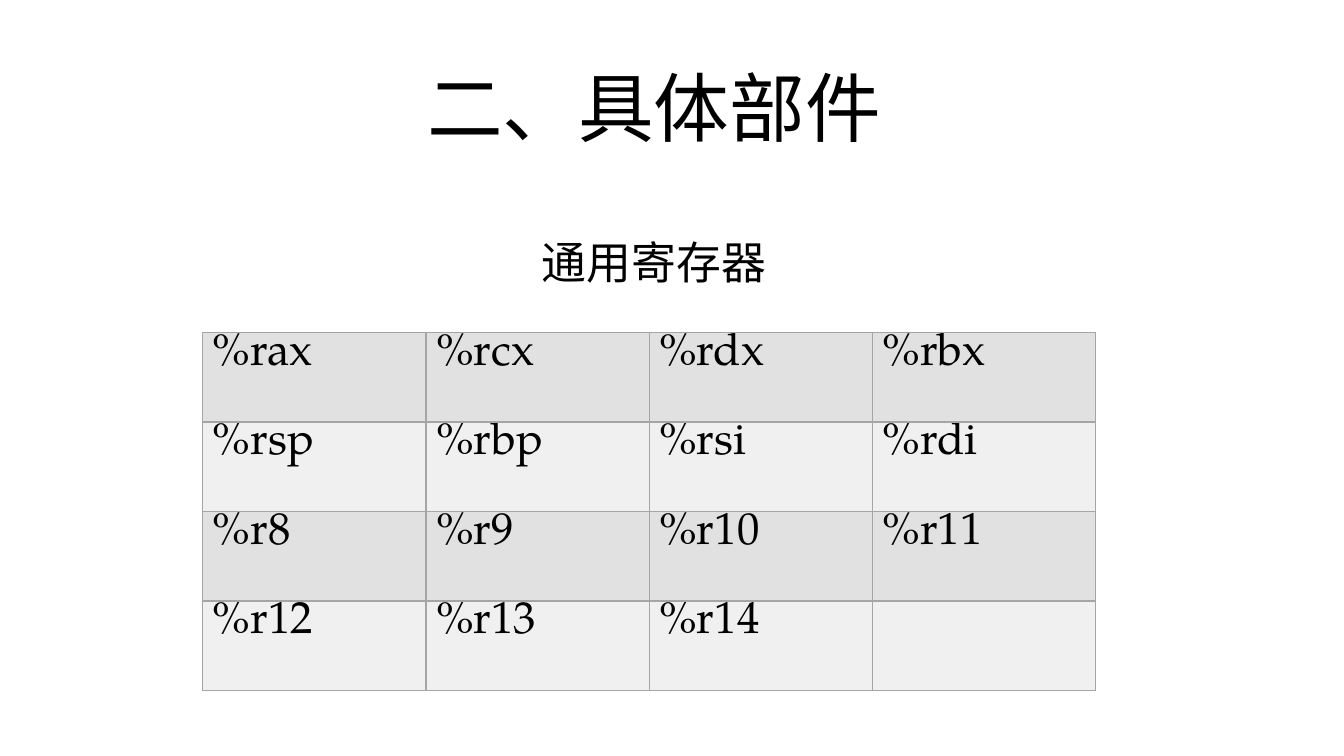
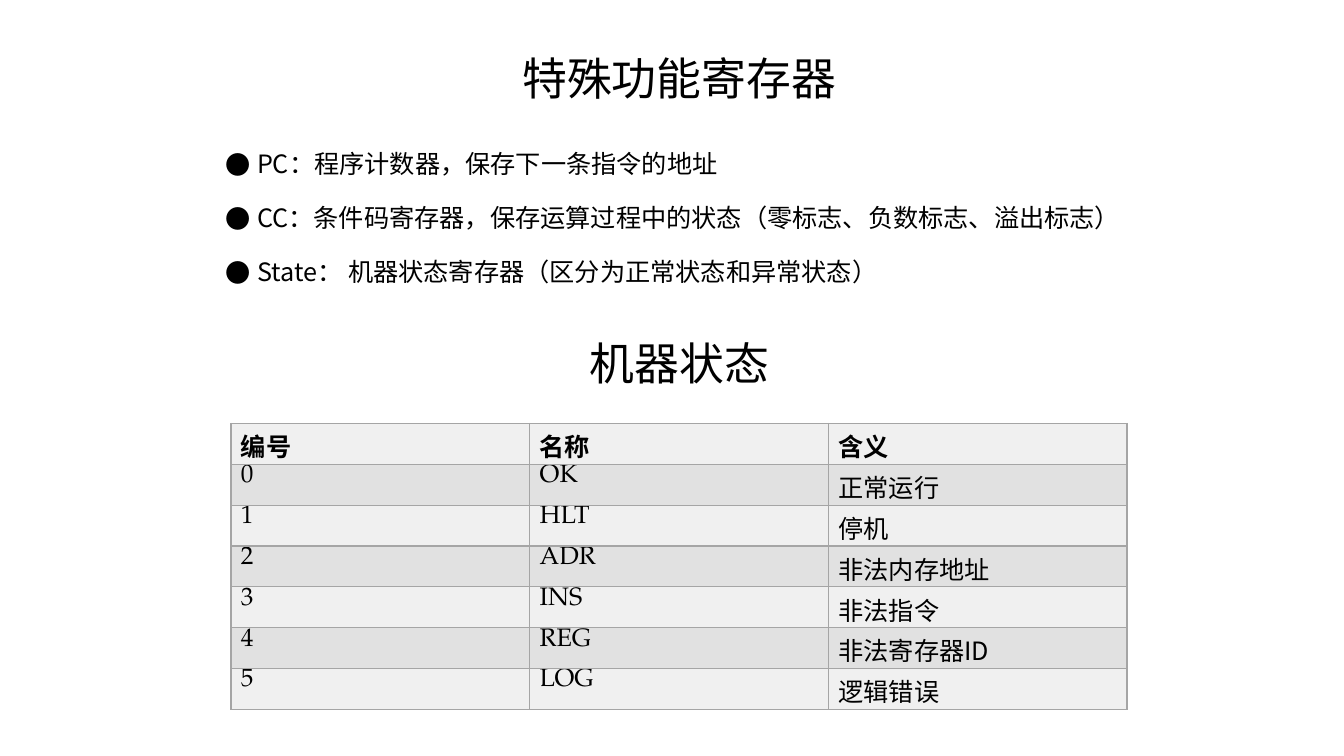
from lxml.etree import SubElement
from pptx import Presentation
from pptx.dml.color import RGBColor
from pptx.enum.text import MSO_ANCHOR as Anchor, MSO_AUTO_SIZE as AutoSize, PP_ALIGN as Align
from pptx.oxml.ns import qn
from pptx.util import Inches, Pt

HAN_FONT = "Noto Sans CJK SC"
LATIN_FONT = "TeX Gyre Pagella"
BLACK, BORDER = "000000", "A5A5A5"
DARK_BAND, LIGHT_BAND = "E1E1E1", "F0F0F0"
TITLE_ONLY, TITLE_AND_BODY = 5, 1


def color(code):
    return RGBColor.from_string(code)


class Deck:
    def __init__(self, width, height):
        self.presentation = Presentation()
        self.presentation.slide_width = Inches(width)
        self.presentation.slide_height = Inches(height)
        self.slide = None

    def across(self, percent):
        return round(self.presentation.slide_width * percent / 100)

    def down(self, percent):
        return round(self.presentation.slide_height * percent / 100)

    def new_slide(self, layout):
        layouts = self.presentation.slide_layouts
        self.slide = self.presentation.slides.add_slide(layouts[layout])

    def style(self, paragraph, size, font=HAN_FONT, bold=False):
        paragraph.font.size = Pt(size)
        paragraph.font.name = font
        paragraph.font.bold = bold
        paragraph.font.color.rgb = color(BLACK)
        properties = paragraph._p.get_or_add_pPr().get_or_add_defRPr()
        SubElement(properties, qn("a:ea"), typeface=HAN_FONT)

    def place(self, shape, left, top, width, height):
        shape.left, shape.top, shape.width, shape.height = left, top, width, height

    def frame(self, shape, text, wrap):
        frame = shape.text_frame
        frame.text = text
        frame.auto_size = AutoSize.NONE
        frame.word_wrap = wrap
        frame.vertical_anchor = Anchor.MIDDLE
        return frame

    def heading(self, text, center, top, size=32, shape=None):
        shape = shape or self.slide.shapes.add_textbox(0, 0, 0, 0)
        width = Pt(len(text) * size) + Inches(0.23)
        height = Pt(1.21 * size) + Inches(0.1)
        self.place(shape, self.across(center) - width // 2, self.down(top), width, height)
        paragraph = self.frame(shape, text, False).paragraphs[0]
        paragraph.alignment = Align.CENTER
        self.style(paragraph, size)

    def title(self, text, center, top, size=32):
        self.heading(text, center, top, size, self.slide.shapes.title)

    def bullets(self, lines, left, top, width, height, size=18, gap=17):
        body = self.slide.placeholders[1]
        self.place(body, self.across(left), self.down(top), self.across(width), self.down(height))
        frame = self.frame(body, "\n".join(lines), True)
        for index, paragraph in enumerate(frame.paragraphs):
            paragraph.space_before = Pt(gap if index else 0)
            self.style(paragraph, size)
            properties = paragraph._p.get_or_add_pPr()
            indent = Inches(0.31)
            properties.set("marL", str(indent))
            properties.set("indent", str(-indent))
            defaults = properties.find(qn("a:defRPr"))
            for tag, name, value in (("a:buFont", "typeface", HAN_FONT), ("a:buChar", "char", "●")):
                defaults.addprevious(SubElement(properties, qn(tag), {name: value}))

    def border(self, cell):
        properties = cell._tc.get_or_add_tcPr()
        for side in ("a:lnL", "a:lnR", "a:lnT", "a:lnB"):
            line = SubElement(properties, qn(side), w=str(Pt(1)))
            fill = SubElement(line, qn("a:solidFill"))
            SubElement(fill, qn("a:srgbClr"), val=BORDER)

    def table(self, rows, left, top, width, height, size, fonts, bands, header=False):
        graphic = self.slide.shapes.add_table(
            len(rows), len(rows[0]), self.across(left), self.down(top),
            self.across(width), self.down(height))
        table = graphic.table
        table.first_row = table.horz_banding = False
        for row_index, row in enumerate(rows):
            is_header = header and row_index == 0
            for column_index, text in enumerate(row):
                cell = table.cell(row_index, column_index)
                font = HAN_FONT if is_header else fonts[column_index]
                cell.text = text
                cell.margin_top = Inches(0.04 if font == HAN_FONT else 0)
                cell.margin_bottom = 0
                self.style(cell.text_frame.paragraphs[0], size, font, is_header)
                self.border(cell)
                cell.fill.solid()
                cell.fill.fore_color.rgb = color(bands[row_index % 2])

    def save(self):
        self.presentation.save("out.pptx")


deck = Deck(13.33, 7.5)

deck.new_slide(TITLE_ONLY)
deck.title("二、具体部件", 48.65, 7.33, size=54)
deck.heading("通用寄存器", 48.65, 30.4)
registers = [
    ["%rax", "%rcx", "%rdx", "%rbx"],
    ["%rsp", "%rbp", "%rsi", "%rdi"],
    ["%r8", "%r9", "%r10", "%r11"],
    ["%r12", "%r13", "%r14", ""],
]
deck.table(registers, 15.08, 44, 66.45, 47.33, 32, [LATIN_FONT] * 4, (DARK_BAND, LIGHT_BAND))

deck.new_slide(TITLE_AND_BODY)
deck.title("特殊功能寄存器", 50.55, 6)
deck.bullets([
    "PC：程序计数器，保存下一条指令的地址",
    "CC：条件码寄存器，保存运算过程中的状态（零标志、负数标志、溢出标志）",
    "State： 机器状态寄存器（区分为正常状态和异常状态）",
], 16.05, 18, 68.94, 21.6)
deck.heading("机器状态", 50.55, 43.73)
states = [
    ["编号", "名称", "含义"],
    ["0", "OK", "正常运行"],
    ["1", "HLT", "停机"],
    ["2", "ADR", "非法内存地址"],
    ["3", "INS", "非法指令"],
    ["4", "REG", "非法寄存器ID"],
    ["5", "LOG", "逻辑错误"],
]
deck.table(states, 17.18, 56, 66.68, 37.87, 18, [LATIN_FONT, LATIN_FONT, HAN_FONT],
           (LIGHT_BAND, DARK_BAND), header=True)

deck.save()
